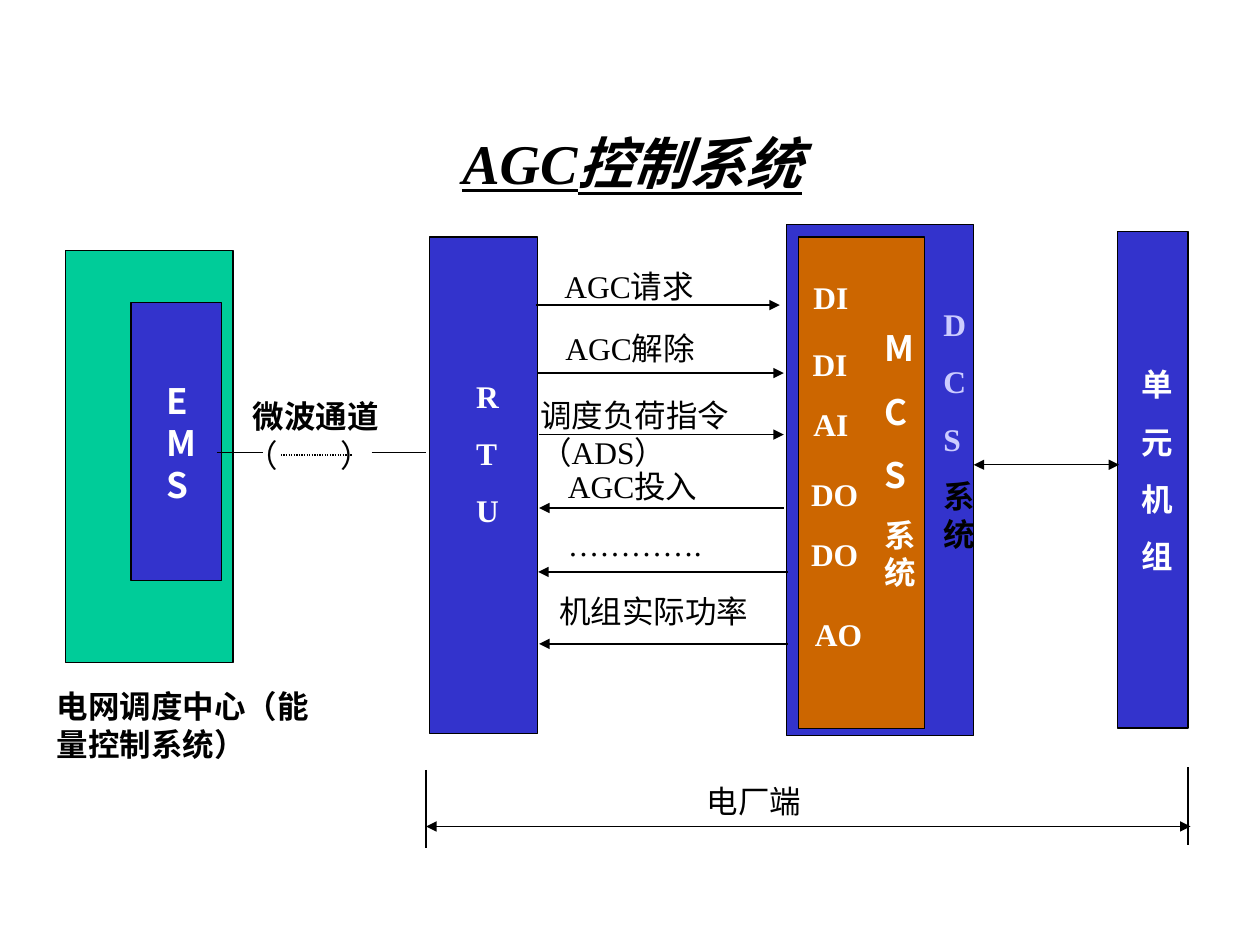
from lxml import etree
from pptx import Presentation
from pptx import util as u
from pptx.dml.color import RGBColor
from pptx.enum import dml, shapes, text
from pptx.oxml import ns

BLACK = RGBColor(0x00, 0x00, 0x00)
WHITE = RGBColor(0xFF, 0xFF, 0xFF)
GREEN = RGBColor(0x00, 0xCC, 0x99)
BLUE = RGBColor(0x33, 0x33, 0xCC)
ORANGE = RGBColor(0xCC, 0x66, 0x00)
LILAC = RGBColor(0xCC, 0xCC, 0xFF)
SERIF = "Times New Roman"
SANS = "Noto Sans CJK SC"


def add_text_box(page, left, top, width, height):
    box = page.shapes.add_textbox(u.Cm(left), u.Cm(top), u.Cm(width), u.Cm(height))
    box.text_frame.word_wrap = True
    box.text_frame.auto_size = text.MSO_AUTO_SIZE.SHAPE_TO_FIT_TEXT
    return box


def write(box, *lines, size=18, color=BLACK, bold=False, italic=False,
          underline=False, latin=SERIF, before=11.2, align=None):
    """Append each line to the box as a paragraph of its own."""
    frame = box.text_frame
    for line in lines:
        para = frame.add_paragraph() if frame.text else frame.paragraphs[0]
        para.space_before = u.Pt(before)
        para.alignment = align
        span = para.add_run()
        span.text = line
        font = span.font
        font.name, font.size, font.color.rgb = latin, u.Pt(size), color
        font.bold, font.italic, font.underline = bold, italic, underline
        east_asian = etree.SubElement(span._r.get_or_add_rPr(), ns.qn("a:ea"))
        east_asian.set("typeface", SANS)


deck = Presentation()
deck.slide_width, deck.slide_height = u.Cm(25.4), u.Cm(19.05)
page = deck.slides.add_slide(deck.slide_layouts[5])

title = page.shapes.title
title.left, title.top, title.width, title.height = u.Cm(2.9), u.Cm(2.31), u.Cm(19.69), u.Cm(1.93)
title.text_frame.auto_size = text.MSO_AUTO_SIZE.NONE
title.text_frame.vertical_anchor = text.MSO_ANCHOR.MIDDLE
write(title, "AGC控制系统", size=32, bold=True, italic=True, underline=True,
      before=0, align=text.PP_ALIGN.CENTER)

# Equipment blocks: left, top, width, height, fill
blocks = [
    (1.32, 5.05, 3.38, 8.31, GREEN),     # dispatch centre
    (2.64, 6.1, 1.83, 5.61, BLUE),       # EMS
    (8.66, 4.78, 2.18, 10.01, BLUE),     # RTU
    (15.85, 4.52, 3.78, 10.31, BLUE),    # DCS
    (16.1, 4.78, 2.54, 9.91, ORANGE),    # MCS
    (22.53, 4.67, 1.42, 10.01, BLUE),    # generating unit
]
for left, top, width, height, fill in blocks:
    block = page.shapes.add_shape(shapes.MSO_SHAPE.RECTANGLE, u.Cm(left), u.Cm(top),
                                  u.Cm(width), u.Cm(height))
    block.shadow.inherit = False
    block.fill.solid()
    block.fill.fore_color.rgb = fill
    block.line.color.rgb = BLACK
    block.line.width = u.Pt(0.75)

# Signals between RTU and MCS: label and its box, port and its place, line
signals = [
    ("AGC请求", (11.13, 5.26, 4.42, 1.02), "DI", (16.15, 5.49), (10.8, 15.72, 6.15), "tail"),
    ("AGC解除", (11.15, 6.5, 4.42, 1.02), "DI", (16.13, 6.83), (10.85, 15.8, 7.52), "tail"),
    ("调度负荷指令（ADS）", (10.64, 7.85, 5.28, 1.78), "AI", (16.15, 8.05), (10.87, 15.8, 8.76), "tail"),
    ("AGC投入", (11.2, 9.3, 4.42, 1.02), "DO", (16.1, 9.45), (10.87, 15.8, 10.24), "head"),
    ("………….", (11.2, 10.46, 4.42, 1.02), "DO", (16.1, 10.67), (10.85, 15.88, 11.53), "head"),
    ("机组实际功率", (11.02, 11.81, 4.42, 1.02), "AO", (16.18, 12.27), (10.87, 15.88, 12.98), "head"),
]

# Lines: x1, y1, x2, y2, arrowheads, dash
lines = [
    (4.37, 9.12, 5.31, 9.12, [], None),
    (7.49, 9.12, 8.59, 9.12, [], None),
    (5.66, 9.17, 7.09, 9.17, [], dml.MSO_LINE.ROUND_DOT),
    (19.63, 9.37, 22.56, 9.37, ["head", "tail"], None),
    (8.59, 15.52, 8.59, 17.09, [], None),
    (23.95, 15.47, 23.95, 17.04, [], None),
    (8.59, 16.66, 24, 16.66, ["head", "tail"], None),
]
for label, label_place, port, port_place, (x1, x2, y), arrow in signals:
    write(add_text_box(page, *label_place), label)
    write(add_text_box(page, *port_place, 1.5, 1.02), port, color=WHITE, bold=True)
    lines.append((x1, y, x2, y, [arrow], None))

for x1, y1, x2, y2, arrows, dash in lines:
    link = page.shapes.add_connector(shapes.MSO_CONNECTOR.STRAIGHT,
                                     u.Cm(x1), u.Cm(y1), u.Cm(x2), u.Cm(y2))
    link.line.color.rgb = BLACK
    link.line.width = u.Pt(0.75)
    if dash:
        link.line.dash_style = dash
    for arrow in arrows:
        end = etree.SubElement(link.line._get_or_add_ln(), ns.qn(f"a:{arrow}End"))
        end.set("type", "triangle")
    etree.SubElement(link._element.spPr, ns.qn("a:effectLst"))

# Block names, written downwards
ems = add_text_box(page, 3.1, 7.52, 0.97, 2.79)
write(ems, "EMS", size=20, color=WHITE, bold=True, latin=SANS, before=12.5)
rtu = add_text_box(page, 9.35, 7.47, 0.97, 3.35)
write(rtu, *"RTU", color=WHITE, bold=True)
dcs = add_text_box(page, 18.77, 6.02, 1.12, 5.26)
write(dcs, *"DCS", color=LILAC, bold=True)
write(dcs, "系统", bold=True)
mcs = add_text_box(page, 17.58, 6.45, 1.3, 5.61)
write(mcs, *"MCS", size=20, color=WHITE, bold=True, latin=SANS, before=12.5)
write(mcs, "系统", color=WHITE, bold=True)
unit = add_text_box(page, 22.76, 7.24, 1.73, 4.5)
write(unit, *"单元机组", color=WHITE, bold=True)

# Captions
write(add_text_box(page, 0.89, 13.72, 5.99, 1.78), "电网调度中心（能量控制系统）", bold=True)
write(add_text_box(page, 4.85, 7.87, 3.2, 1.02), "微波通道", bold=True)
write(add_text_box(page, 14, 15.65, 3.02, 1.02), "电厂端")

# Brackets around the dotted line, set apart by a tab stop
brackets = add_text_box(page, 4.72, 8.66, 3.18, 1.02)
write(brackets, "（\t）", before=0)
stops = etree.SubElement(brackets.text_frame.paragraphs[0]._p.get_or_add_pPr(), ns.qn("a:tabLst"))
etree.SubElement(stops, ns.qn("a:tab"), pos=str(u.Cm(1.9)), algn="l")

deck.save("out.pptx")
